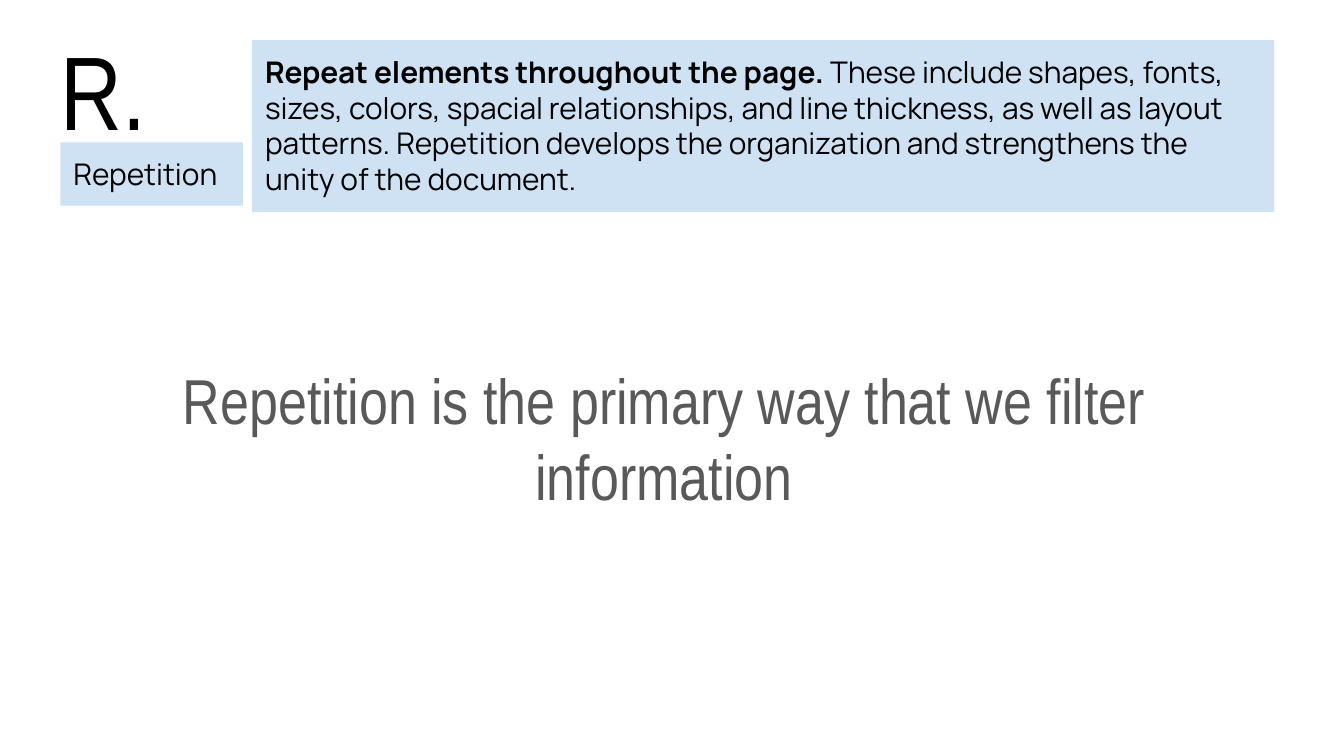
from pptx import Presentation
from pptx.dml.color import RGBColor
from pptx.enum.shapes import MSO_SHAPE
from pptx.enum.text import MSO_ANCHOR, PP_ALIGN
from pptx.util import Cm, Pt

RECT = MSO_SHAPE.RECTANGLE
TOP = MSO_ANCHOR.TOP
LEFT, CENTER = PP_ALIGN.LEFT, PP_ALIGN.CENTER

COLORS = {"ink": "000000", "gray": "595959", "sky": "CFE2F3"}
HEAD, BODY = "Arial Narrow", "Manrope"
PAD = Cm(0.25)


def color(name):
    return RGBColor.from_string(COLORS[name])


def write(shape, text, lead="", font=BODY, size=16, ink="ink", align=LEFT):
    """Fill a shape with text, after an optional bold lead."""
    frame = shape.text_frame
    frame.word_wrap = True
    frame.vertical_anchor = TOP
    frame.margin_left = frame.margin_right = PAD
    frame.margin_top = frame.margin_bottom = PAD
    para = frame.paragraphs[0]
    para.alignment = align
    for part, bold in ((lead, True), (text, False)):
        if part:
            run = para.add_run()
            run.text = part
            run.font.name = font
            run.font.size = Pt(size)
            run.font.bold = bold
            run.font.color.rgb = color(ink)


def label(slide, box, text, **style):
    write(slide.shapes.add_textbox(*map(Cm, box)), text, **style)


def panel(slide, box, text, **style):
    shape = slide.shapes.add_shape(RECT, *map(Cm, box))
    shape.shadow.inherit = False
    shape.fill.solid()
    shape.fill.fore_color.rgb = color("sky")
    shape.line.fill.background()
    write(shape, text, **style)


def header(slide, box):
    """Letter and term at the left, definition at the right."""
    left, top, width, height = box
    side, gap = 3.45, 0.17
    start = side + gap
    # Initial letter
    label(slide, (left - 0.25, top - 0.51, 3.02, 7.7), "R.",
          font=HEAD, size=56)
    # Definition
    panel(slide, (left + start, top, width - start, height),
          " These include shapes, fonts, sizes, colors, spacial relationships, "
          "and line thickness, as well as layout patterns. Repetition develops "
          "the organization and strengthens the unity of the document.",
          lead="Repeat elements throughout the page.")
    # Term
    panel(slide, (left, top + 1.93, side, 1.2), "Repetition")


def message(slide, box):
    """Large centered statement."""
    label(slide, box, "Repetition is the primary way that we filter information",
          font=HEAD, size=34, ink="gray", align=CENTER)


def main():
    deck = Presentation()
    deck.slide_width, deck.slide_height = Cm(25.4), Cm(14.29)
    slide = deck.slides.add_slide(deck.slide_layouts[6])
    header(slide, (1.14, 0.76, 22.94, 3.25))
    message(slide, (2.57, 6.58, 19.96, 3.56))
    deck.save("out.pptx")


if __name__ == "__main__":
    main()
